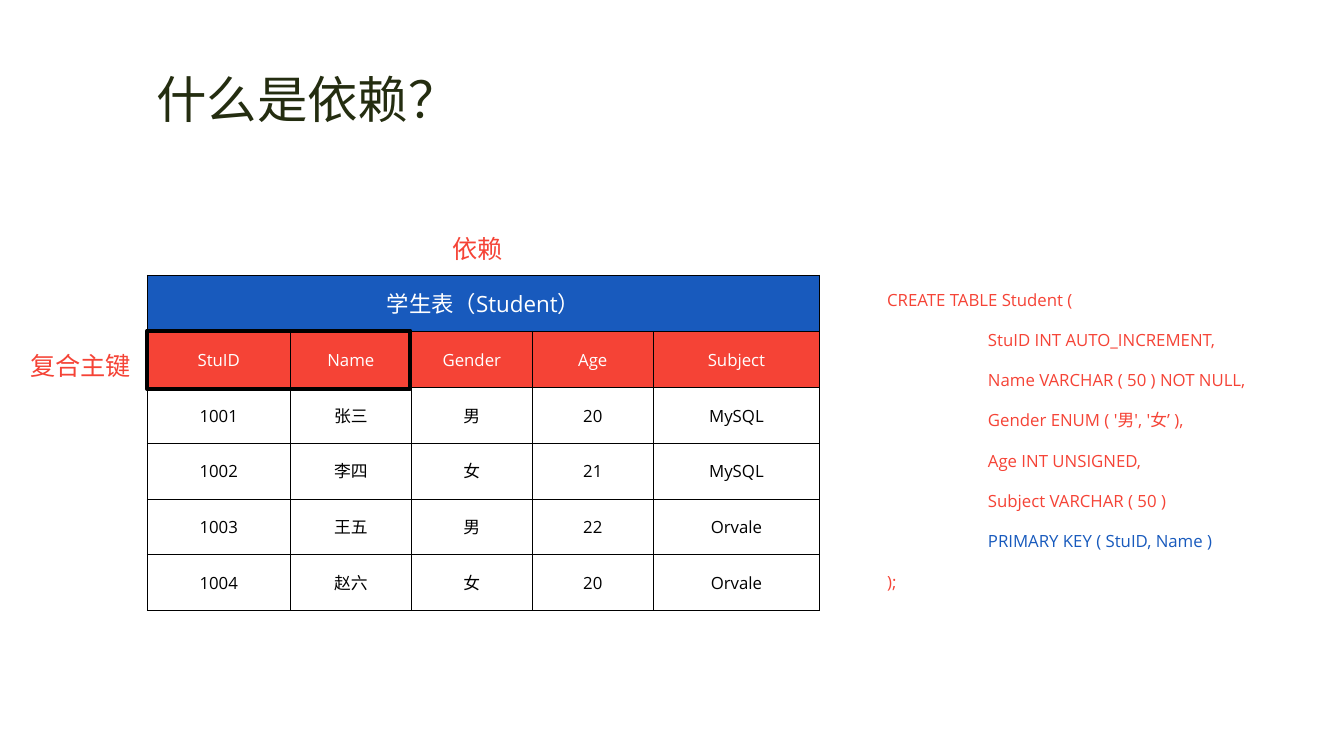
from dataclasses import dataclass

import pptx
import pptx.dml.color
import pptx.enum.lang
import pptx.enum.shapes
import pptx.enum.text
import pptx.oxml.ns
import pptx.util
from lxml import etree
from pptx.util import Inches, Pt


@dataclass(frozen=True)
class Theme:
    font: str = "Open Sans"
    olive: str = "242D10"
    blue: str = "185ABD"
    red: str = "F54336"
    black: str = "000000"
    white: str = "FFFFFF"
    title_size: int = 36
    label_size: int = 18
    caption_size: int = 16
    body_size: int = 12


theme = Theme()
rgb = pptx.dml.color.RGBColor.from_string
qn = pptx.oxml.ns.qn
PP_ALIGN = pptx.enum.text.PP_ALIGN
MIDDLE = pptx.enum.text.MSO_ANCHOR.MIDDLE


def add_run(paragraph, text, size, color):
    run = paragraph.add_run()
    run.text = text
    run.font.language_id = pptx.enum.lang.MSO_LANGUAGE_ID.SIMPLIFIED_CHINESE
    run.font.name = theme.font
    run.font.size = Pt(size)
    run.font.color.rgb = rgb(color)
    east_asian = etree.SubElement(run.font._element, qn("a:ea"))
    east_asian.set("typeface", theme.font)


def style_cell(cell, text, size, color, fill):
    """Write centred text in a cell, with thin black borders and a fill."""
    cell.margin_left = cell.margin_right = cell.margin_top = Inches(0.01)
    cell.margin_bottom = 0
    cell.vertical_anchor = MIDDLE
    properties = cell._tc.get_or_add_tcPr()
    for side in ("a:lnL", "a:lnR", "a:lnT", "a:lnB"):
        border = etree.SubElement(properties, qn(side), w=str(Pt(0.5)))
        solid = etree.SubElement(border, qn("a:solidFill"))
        etree.SubElement(solid, qn("a:srgbClr"), val=theme.black)
    cell.fill.solid()
    cell.fill.fore_color.rgb = rgb(fill)
    if text:
        paragraph = cell.text_frame.paragraphs[0]
        paragraph.alignment = PP_ALIGN.CENTER
        add_run(paragraph, text, size, color)


deck = pptx.Presentation()
deck.slide_width = Inches(13.33)
deck.slide_height = Inches(7.5)
slide = deck.slides.add_slide(deck.slide_layouts[5])

# Title
title = slide.shapes.title
title.left, title.top = Inches(1.45), Inches(0.62)
title.width, title.height = Inches(3.23), Inches(0.71)
title.text_frame.word_wrap = False
title.text_frame.auto_size = pptx.enum.text.MSO_AUTO_SIZE.NONE
title.text_frame.vertical_anchor = MIDDLE
heading = title.text_frame.paragraphs[0]
heading.alignment = PP_ALIGN.LEFT
add_run(heading, "什么是依赖？", theme.title_size, theme.olive)

# Student table
caption = "学生表（Student）"
columns = ["StuID", "Name", "Gender", "Age", "Subject"]
column_widths = [1.42, 1.2, 1.2, 1.2, 1.65]
students = [
    ["1001", "张三", "男", "20", "MySQL"],
    ["1002", "李四", "女", "21", "MySQL"],
    ["1003", "王五", "男", "22", "Orvale"],
    ["1004", "赵六", "女", "20", "Orvale"],
]
rows = [[caption, "", "", "", ""], columns] + students
row_styles = [
    (theme.caption_size, theme.white, theme.blue),
    (theme.body_size, theme.white, theme.red),
] + [(theme.body_size, theme.black, theme.white)] * len(students)

student_table = slide.shapes.add_table(
    len(rows), len(columns), Inches(1.46), Inches(2.73), Inches(6.67), Inches(3.33)
).table
student_table.first_row = False
student_table.horz_banding = False
for column, width in zip(student_table.columns, column_widths):
    column.width = Inches(width)
for row_index, (values, row_style) in enumerate(zip(rows, row_styles)):
    for column_index, value in enumerate(values):
        style_cell(student_table.cell(row_index, column_index), value, *row_style)
student_table.cell(0, 0).merge(student_table.cell(0, len(columns) - 1))

# Frame around the composite key
key_frame = slide.shapes.add_shape(
    pptx.enum.shapes.MSO_SHAPE.RECTANGLE,
    Inches(1.46), Inches(3.28), Inches(2.61), Inches(0.58),
)
key_frame.shadow.inherit = False
key_frame.fill.background()
key_frame.line.color.rgb = rgb(theme.black)
key_frame.line.width = Pt(3)

# SQL statement and the two labels
statement = [
    ("CREATE TABLE Student (", theme.red),
    ("\tStuID INT AUTO_INCREMENT,", theme.red),
    ("\tName VARCHAR ( 50 ) NOT NULL,", theme.red),
    ("\tGender ENUM ( '男', '女’ ),", theme.red),
    ("\tAge INT UNSIGNED,", theme.red),
    ("\tSubject VARCHAR ( 50 )", theme.red),
    ("\tPRIMARY KEY ( StuID, Name )", theme.blue),
    (");", theme.red),
]
text_blocks = [
    ((8.7, 2.62, 3.85, 3.28), statement, theme.body_size, 2.0),
    ((0.2, 3.28, 1.26, 0.51), [("复合主键", theme.red)], theme.label_size, 1.5),
    ((4.39, 2.12, 0.8, 0.51), [("依赖", theme.red)], theme.label_size, 1.5),
]
for bounds, lines, size, spacing in text_blocks:
    frame = slide.shapes.add_textbox(*map(Inches, bounds)).text_frame
    frame.word_wrap = True
    for index, (text, color) in enumerate(lines):
        paragraph = frame.add_paragraph() if index else frame.paragraphs[0]
        paragraph.line_spacing = spacing
        if text.startswith("\t"):
            tab_stops = etree.SubElement(paragraph._p.get_or_add_pPr(), qn("a:tabLst"))
            etree.SubElement(tab_stops, qn("a:tab"), pos=str(Inches(1)), algn="l")
        add_run(paragraph, text, size, color)

deck.save("out.pptx")
